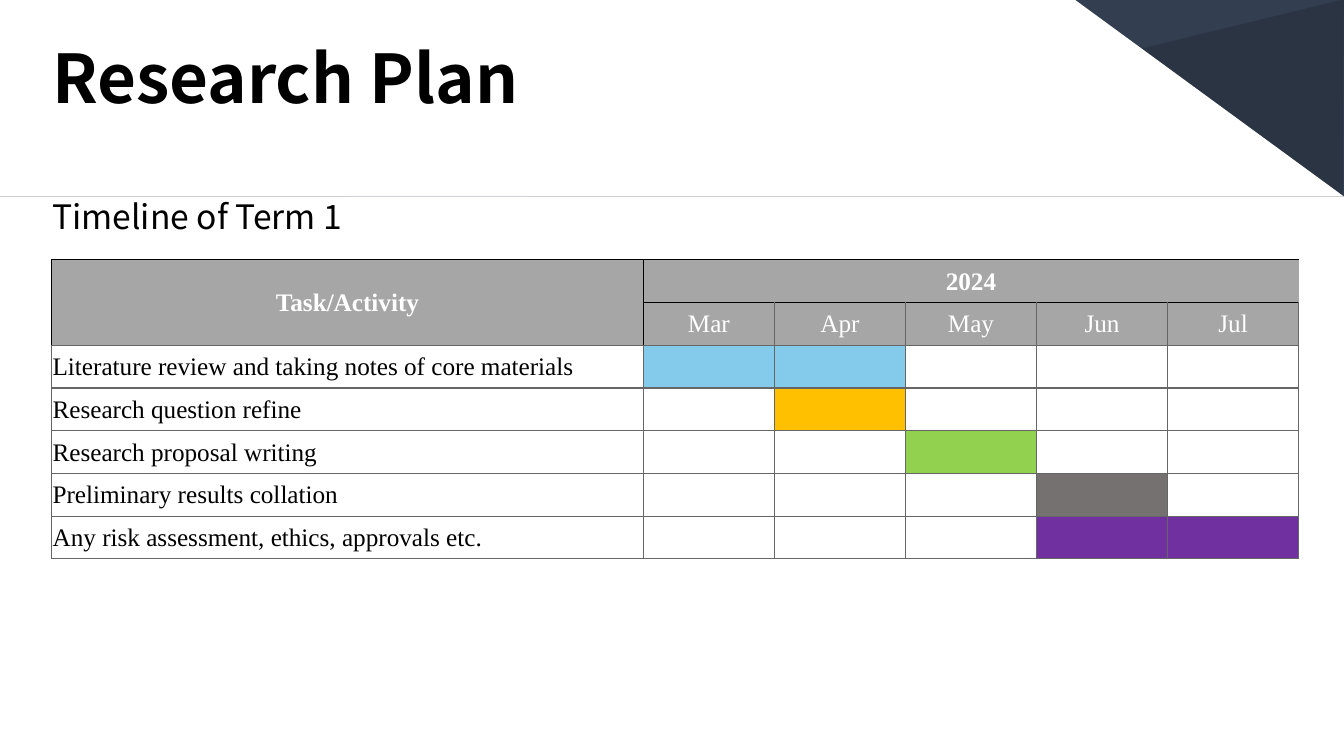
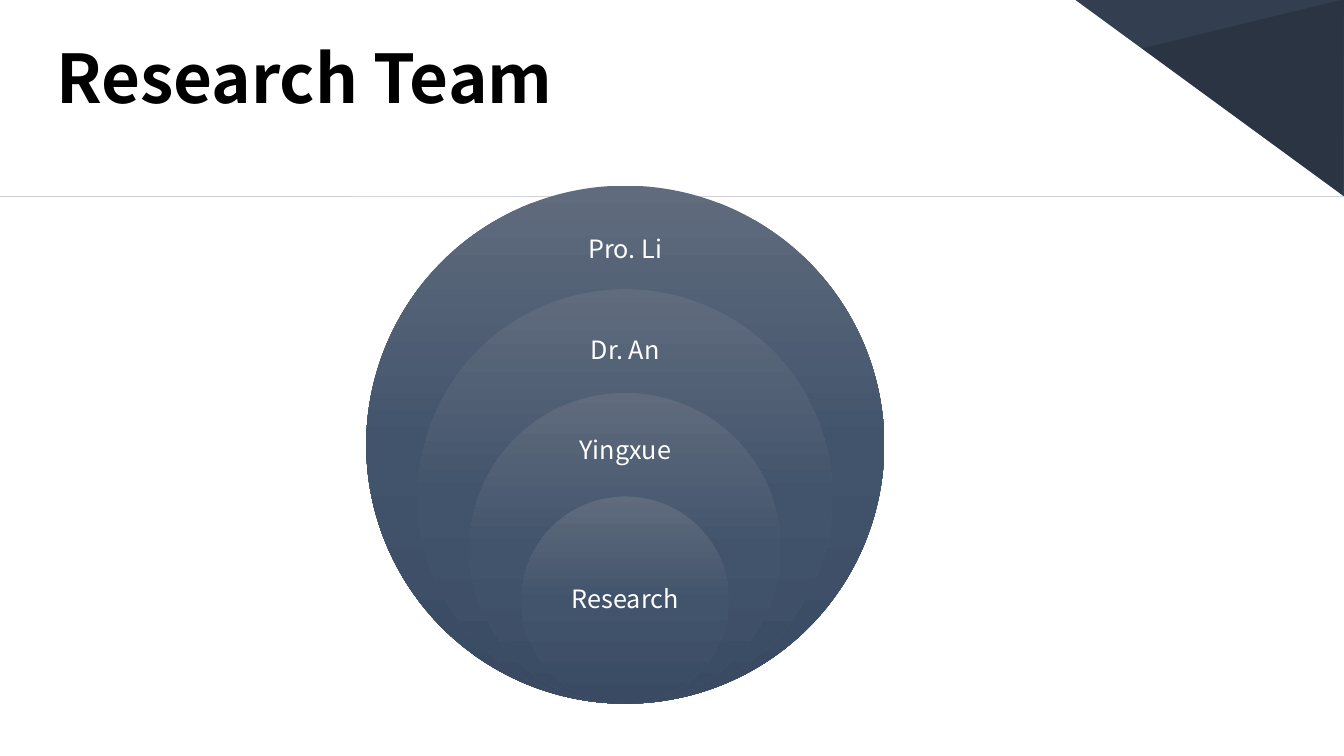
from copy import deepcopy

from lxml import etree
from pptx import Presentation
from pptx.dml.color import RGBColor
from pptx.enum import shapes, text
from pptx.oxml import ns
from pptx.util import Pt

COLOURS = {
    "black": "000000", "white": "FFFFFF", "header": "A6A6A6", "grid": "666666",
    "backdrop": "333F50", "shade": "222A35",
    "blue": "83CAEB", "amber": "FFC000", "green": "92D050",
    "grey": "757171", "purple": "7030A0",
    "ring_top": "606B7D", "ring_middle": "42546C", "ring_bottom": "394A62",
}
SANS, SERIF = "Noto Sans CJK SC", "Times New Roman"
WIDTH, HEIGHT = 960, 540
SHEET_TOP = 140.4  # below this line the white sheet is full width

KIND = shapes.MSO_SHAPE
BACKDROP = [  # kind, colour, opacity %, rotation, centre x, centre y, width, height
    (KIND.ISOSCELES_TRIANGLE, "shade", 100, 0, WIDTH / 2, HEIGHT / 2, WIDTH, HEIGHT),
    (KIND.PARALLELOGRAM, "shade", 50, 346.3, 479.6, 269.6, 1061.3, 297.4),
    (KIND.RECTANGLE, "white", 100, 90, WIDTH / 2, (SHEET_TOP + HEIGHT) / 2,
     HEIGHT - SHEET_TOP, WIDTH),
    (KIND.FLOWCHART_MANUAL_INPUT, "white", 100, 90, WIDTH / 2, SHEET_TOP / 2,
     SHEET_TOP, WIDTH),
]

YEAR = "2024"
MONTHS = ["Mar", "Apr", "May", "Jun", "Jul"]
TASKS = [  # task, colour, active months
    ("Literature review and taking notes of core materials", "blue", ["Mar", "Apr"]),
    ("Research question refine", "amber", ["Apr"]),
    ("Research proposal writing", "green", ["May"]),
    ("Preliminary results collation", "grey", ["Jun"]),
    ("Any risk assessment, ethics, approvals etc.", "purple", ["Jun", "Jul"]),
]
TASK_WIDTH, MONTH_WIDTH, ROW_HEIGHT = 422.7, 93.6, 30.55

TEAM = ["Pro. Li", "Dr. An", "Yingxue", "Research"]  # outermost first
RING_X, RING_BOTTOM, RING_SIZE = 446.6, 502.6, 370
LABEL_FIRST, LABEL_STEP = 179.1, 71.65
LABEL_WIDTH, LABEL_HEIGHT = 104, 54


def rgb(name):
    return RGBColor.from_string(COLOURS[name])


def paint(shape, colour):
    shape.fill.solid()
    shape.fill.fore_color.rgb = rgb(colour)


def write(tf, words, size, colour, font=SANS, bold=False, align=None, spacing=None):
    p = tf.paragraphs[0]
    p.alignment = align
    p.line_spacing = spacing
    r = p.add_run()
    r.text = words
    r.font.name, r.font.size, r.font.bold = font, Pt(size), bold
    r.font.color.rgb = rgb(colour)


def add_label(s, words, x, y, w, h, size, colour, anchor, **style):
    tf = s.shapes.add_textbox(Pt(x), Pt(y), Pt(w), Pt(h)).text_frame
    tf.word_wrap = True
    tf.vertical_anchor = anchor
    write(tf, words, size, colour, **style)


def add_plain_shape(s, kind, x, y, w, h):
    """Add a preset shape centred on x, y without shadow or outline."""
    sp = s.shapes.add_shape(kind, Pt(x - w / 2), Pt(y - h / 2), Pt(w), Pt(h))
    sp.shadow.inherit = False
    sp.line.fill.background()
    return sp


def add_backdrop(s, layout):
    """Draw the folded corner and hand it to the layout, so every slide shows it."""
    layout.background.fill.solid()
    layout.background.fill.fore_color.rgb = rgb("backdrop")
    for i, (kind, colour, opacity, rotation, *box) in enumerate(BACKDROP):
        sp = add_plain_shape(s, kind, *box)
        sp.rotation = rotation
        paint(sp, colour)
        if kind == KIND.ISOSCELES_TRIANGLE:
            sp.adjustments[0] = 0
        if opacity < 100:
            clr = sp.element.spPr.find(".//" + ns.qn("a:srgbClr"))
            etree.SubElement(clr, ns.qn("a:alpha"), val=str(opacity * 1000))
        sp.element.nvSpPr.cNvPr.set("id", str(100 + i))
        layout.shapes.element.insert(2 + i, sp.element)


def add_slide(prs, layout, title, left):
    s = prs.slides.add_slide(layout)
    sp = s.shapes.title
    sp.left, sp.top, sp.width, sp.height = Pt(left), Pt(22.5), Pt(765), Pt(68)
    tf = sp.text_frame
    tf.word_wrap = True
    tf.auto_size = text.MSO_AUTO_SIZE.NONE
    tf.vertical_anchor = text.MSO_ANCHOR.TOP
    write(tf, title, 48, "black", bold=True, align=text.PP_ALIGN.LEFT)
    return s


def set_borders(cell, row, col):
    """Black lines frame the header, grey ones the rest; the year is open on its right."""
    header = row < 2
    black = {
        "L": header and col < 2,
        "R": header and col == 0,
        "T": header,
        "B": row == 0 and col > 0,
    }
    tcPr = cell._tc.get_or_add_tcPr()
    for side, is_black in black.items():
        ln = etree.SubElement(tcPr, ns.qn(f"a:ln{side}"), w=str(Pt(1)))
        if side == "R" and row == 0 and col > 0:
            etree.SubElement(ln, ns.qn("a:noFill"))
            continue
        fill = etree.SubElement(ln, ns.qn("a:solidFill"))
        colour = COLOURS["black" if is_black else "grid"]
        etree.SubElement(fill, ns.qn("a:srgbClr"), val=colour)


def add_timeline(s, x, y):
    rows, cols = len(TASKS) + 2, len(MONTHS) + 1
    table = s.shapes.add_table(
        rows, cols, Pt(x), Pt(y),
        Pt(TASK_WIDTH + MONTH_WIDTH * len(MONTHS)), Pt(ROW_HEIGHT * rows)).table
    table.first_row = table.horz_banding = False
    for col, column in enumerate(table.columns):
        column.width = Pt(MONTH_WIDTH if col else TASK_WIDTH)

    words = [["Task/Activity", YEAR], [""] + MONTHS] + [[task] for task, _, _ in TASKS]
    fills = [["header"] * cols] * 2 + [
        ["white"] + [colour if m in active else "white" for m in MONTHS]
        for _, colour, active in TASKS]
    for row in range(rows):
        table.rows[row].height = Pt(ROW_HEIGHT)
        for col in range(cols):
            cell = table.cell(row, col)
            cell.margin_left = cell.margin_right = cell.margin_top = Pt(0.7)
            cell.margin_bottom = 0
            cell.vertical_anchor = text.MSO_ANCHOR.MIDDLE
            set_borders(cell, row, col)
            paint(cell, fills[row][col])
            if col < len(words[row]) and words[row][col]:
                header = row < 2
                write(cell.text_frame, words[row][col], 18,
                      "white" if header else "black", SERIF, bold=row == 0,
                      align=text.PP_ALIGN.CENTER if header else text.PP_ALIGN.JUSTIFY)
    table.cell(0, 0).merge(table.cell(1, 0))
    table.cell(0, 1).merge(table.cell(0, cols - 1))


def add_ring(s, size):
    sp = add_plain_shape(s, KIND.OVAL, RING_X, RING_BOTTOM - size / 2, size, size)
    sp.fill.gradient()
    sp.fill.gradient_angle = 270
    stops = sp.element.spPr.find(".//" + ns.qn("a:gsLst"))
    stops.insert(1, deepcopy(stops[0]))
    names = ["ring_top", "ring_middle", "ring_bottom"]
    for i, (stop, name) in enumerate(zip(sp.fill.gradient_stops, names)):
        stop.position = i / 2
        stop.color.rgb = rgb(name)


def add_team(s):
    for i, member in enumerate(TEAM):
        size = RING_SIZE * (1 - i / 5)
        add_ring(s, size)
        innermost = i == len(TEAM) - 1
        middle = RING_BOTTOM - size / 2 if innermost else LABEL_FIRST + LABEL_STEP * i
        add_label(s, member, RING_X - LABEL_WIDTH / 2, middle - LABEL_HEIGHT / 2,
                  LABEL_WIDTH, LABEL_HEIGHT, 18, "white", text.MSO_ANCHOR.MIDDLE,
                  align=text.PP_ALIGN.CENTER, spacing=0.9)


def main():
    prs = Presentation()
    prs.slide_width, prs.slide_height = Pt(WIDTH), Pt(HEIGHT)
    layout = prs.slide_layouts[5]

    s = add_slide(prs, layout, "Research Plan", 30.2)
    add_backdrop(s, layout)
    add_label(s, "Timeline of Term 1", 30.3, 121.7, 585, 46, 24, "black",
              text.MSO_ANCHOR.TOP, spacing=1.5)
    add_timeline(s, 36.9, 185.5)

    s = add_slide(prs, layout, "Research Team", 33)
    add_team(s)
    prs.save("out.pptx")


if __name__ == "__main__":
    main()
